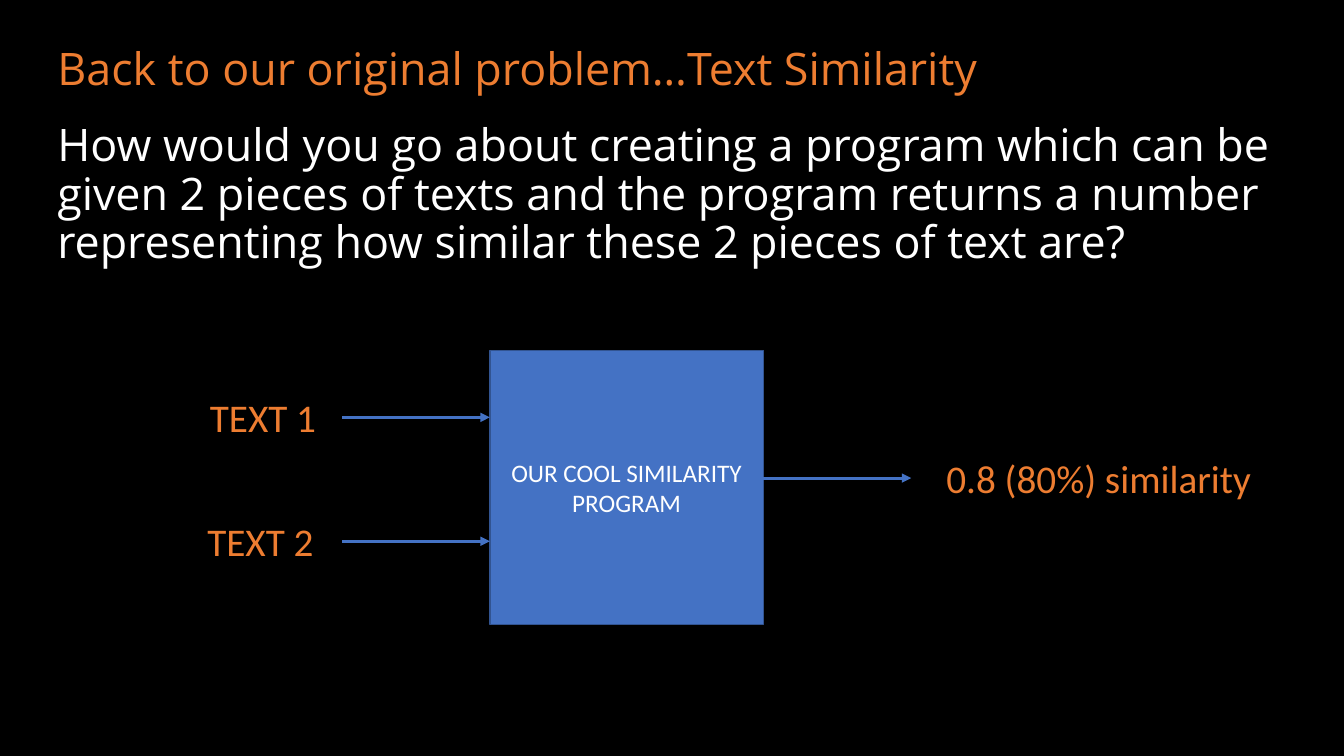
from dataclasses import dataclass

from lxml.etree import SubElement
from pptx import Presentation
from pptx.dml.color import RGBColor
from pptx.enum.shapes import MSO_CONNECTOR as Connector, MSO_SHAPE as Preset
from pptx.enum.text import MSO_ANCHOR as Anchor, PP_ALIGN as Align
from pptx.oxml.ns import qn
from pptx.util import Pt


@dataclass(frozen=True)
class Theme:
    background: str = "000000"
    accent: str = "ED7D31"
    light: str = "FFFFFF"
    blue: str = "4472C4"
    outline: str = "325491"
    prose_font: str = "Open Sans"
    diagram_font: str = "Calibri"
    prose_size: int = 32
    label_size: int = 28
    box_size: int = 18


class SlideBuilder:
    def __init__(self, deck, theme):
        self.theme = theme
        self.slide = deck.slides.add_slide(deck.slide_layouts[5])
        fill = self.slide.background.fill
        fill.solid()
        fill.fore_color.rgb = RGBColor.from_string(theme.background)

    def set_text(self, frame, text, font, size, color, anchor=Anchor.TOP,
                 align=Align.LEFT, spacing=1.0):
        frame.text = text
        paragraph = frame.paragraphs[0]
        run_font = paragraph.runs[0].font
        formats = (
            (frame, {"word_wrap": True, "vertical_anchor": anchor,
                     "margin_left": Pt(7.2), "margin_right": Pt(7.2),
                     "margin_top": Pt(3.6), "margin_bottom": Pt(3.6)}),
            (paragraph, {"alignment": align, "line_spacing": spacing,
                         "space_before": Pt(0)}),
            (run_font, {"name": font, "size": Pt(size)}),
        )
        for target, values in formats:
            for name, value in values.items():
                setattr(target, name, value)
        run_font.color.rgb = RGBColor.from_string(color)

    def prose(self, frame, text, color):
        self.set_text(frame, text, self.theme.prose_font,
                      self.theme.prose_size, color, spacing=0.9)

    def title(self, text, left, top, width, height):
        heading = self.slide.shapes.title
        place = {"left": left, "top": top, "width": width, "height": height}
        for name, value in place.items():
            setattr(heading, name, Pt(value))
        self.prose(heading.text_frame, text, self.theme.accent)

    def text_box(self, *place):
        return self.slide.shapes.add_textbox(*map(Pt, place)).text_frame

    def question(self, text, *place):
        self.prose(self.text_box(*place), text, self.theme.light)

    def label(self, text, *place):
        self.set_text(self.text_box(*place), text, self.theme.diagram_font,
                      self.theme.label_size, self.theme.accent)

    def box(self, text, *place):
        box = self.slide.shapes.add_shape(Preset.RECTANGLE, *map(Pt, place))
        box.shadow.inherit = False
        box.fill.solid()
        box.fill.fore_color.rgb = RGBColor.from_string(self.theme.blue)
        box.line.color.rgb = RGBColor.from_string(self.theme.outline)
        box.line.width = Pt(1)
        self.set_text(box.text_frame, text, self.theme.diagram_font,
                      self.theme.box_size, self.theme.light,
                      Anchor.MIDDLE, Align.CENTER)

    def arrow(self, start, end, y):
        arrow = self.slide.shapes.add_connector(
            Connector.STRAIGHT, Pt(start), Pt(y), Pt(end), Pt(y))
        arrow.line.color.rgb = RGBColor.from_string(self.theme.blue)
        arrow.line.width = Pt(2.25)
        properties = arrow._element.spPr
        SubElement(properties.find(qn("a:ln")), qn("a:tailEnd"), type="triangle")
        SubElement(properties, qn("a:effectLst"))


deck = Presentation()
deck.slide_width, deck.slide_height = Pt(960), Pt(540)
page = SlideBuilder(deck, Theme())

page.title("Back to our original problem…Text Similarity", 33.84, 29.5, 911.5, 46)
page.question(
    "How would you go about creating a program which can be given 2 pieces "
    "of texts and the program returns a number representing how similar "
    "these 2 pieces of text are?", 33.84, 84.5, 911.5, 124)

program_left, program_top, program_side = 349.9, 250.5, 195.4
program_right = program_left + program_side
arrow_length, label_height, label_rise = 105.6, 41, 20.7

page.box("OUR COOL SIMILARITY PROGRAM",
         program_left, program_top, program_side, program_side)

for text_input, label_left, y in (("TEXT 1", 142.8, 298.1), ("TEXT 2", 141, 386.6)):
    page.arrow(program_left - arrow_length, program_left, y)
    page.label(text_input, label_left, y - label_rise, 97, label_height)

score_y = 341.5
page.arrow(program_right, program_right + arrow_length, score_y)
page.label("0.8 (80%) similarity", 668.9, score_y - label_rise, 241, label_height)

deck.save("out.pptx")
